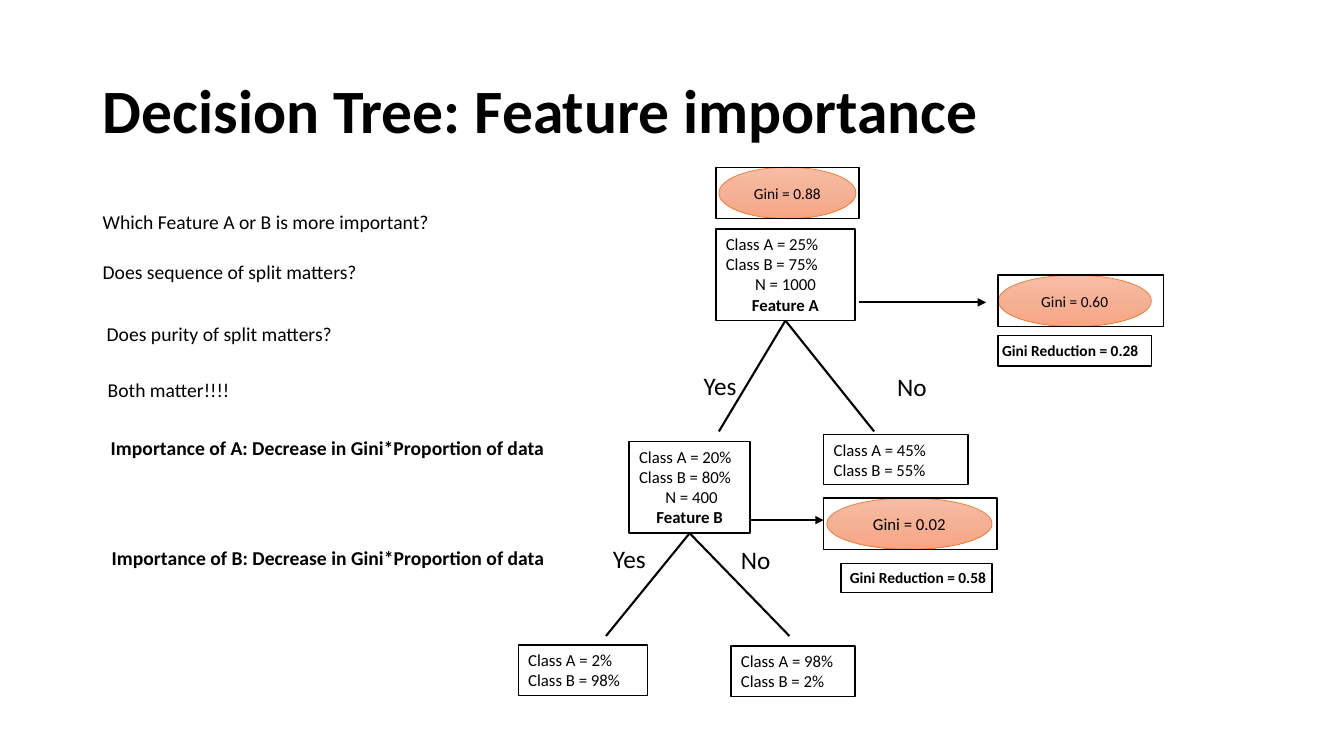
from copy import deepcopy

from lxml import etree
from pptx import Presentation
from pptx import util as u
from pptx.dml.color import RGBColor
from pptx.enum import shapes, text
from pptx.oxml import ns

COLORS = {"ink": "000000", "paper": "FFFFFF", "edge": "ED7D31",
          "light": "F7BDA5", "middle": "F5B196", "deep": "F8A582"}
LEFT, CENTER = text.PP_ALIGN.LEFT, text.PP_ALIGN.CENTER


def color(name):
    """Return the named colour."""
    return RGBColor.from_string(COLORS[name])


def inches(box):
    """Convert a tuple of numbers to lengths."""
    return [u.Inches(value) for value in box]


def write(shape, lines, size, bold=False, align=LEFT, anchor=text.MSO_ANCHOR.TOP,
          fit=text.MSO_AUTO_SIZE.NONE):
    """Fill a shape with one paragraph per line."""
    frame = shape.text_frame
    frame.text = "\n".join(lines)
    frame_format = {"word_wrap": True, "vertical_anchor": anchor, "auto_size": fit}
    for name, value in frame_format.items():
        setattr(frame, name, value)
    for para in frame.paragraphs:
        para.alignment = align
        for name, value in {"name": "Calibri", "size": u.Pt(size), "bold": bold}.items():
            setattr(para.font, name, value)
        para.font.color.rgb = color("ink")
    return frame


def add_label(page, box, line, size, bold=False):
    """Add a one-line text box."""
    label = page.shapes.add_textbox(*inches(box))
    write(label, [line], size, bold, fit=text.MSO_AUTO_SIZE.SHAPE_TO_FIT_TEXT)


def add_outline(page, kind, box, edge="ink", width=1):
    """Add an unfilled preset shape with a coloured line."""
    shape = page.shapes.add_shape(kind, *inches(box))
    shape.shadow.inherit = False
    shape.fill.background()
    shape.line.color.rgb = color(edge)
    shape.line.width = u.Pt(width)
    return shape


def add_node(page, box, lines):
    """Add a tree node whose lines after the second are centred."""
    node = add_outline(page, shapes.MSO_SHAPE.RECTANGLE, box)
    node.fill.solid()
    node.fill.fore_color.rgb = color("paper")
    frame = write(node, lines, 12, fit=text.MSO_AUTO_SIZE.SHAPE_TO_FIT_TEXT)
    for para in frame.paragraphs[2:]:
        para.alignment = CENTER
        para.font.bold = para.text.startswith("Feature")
    return node


def add_line(page, start, end, arrow=False):
    """Add a straight line, with an arrowhead at its end if asked."""
    line = page.shapes.add_connector(shapes.MSO_CONNECTOR.STRAIGHT, *inches(start + end))
    line.line.color.rgb = color("ink")
    line.line.width = u.Pt(1.5)
    if arrow:
        etree.SubElement(line.line._get_or_add_ln(), ns.qn("a:tailEnd"), type="triangle")
    etree.SubElement(line._element.spPr, ns.qn("a:effectLst"))
    return line


def add_gini(page, box, value, offset, width, size=11):
    """Add a framed gradient ellipse with a Gini value."""
    left, top, _, height = box
    oval = add_outline(page, shapes.MSO_SHAPE.OVAL, (left + offset, top, width, height),
                       "edge", 0.5)
    oval.fill.gradient()
    oval.fill.gradient_angle = 270
    first = oval._element.spPr.find(".//" + ns.qn("a:gs"))
    first.addnext(deepcopy(first))
    stops = zip(oval.fill.gradient_stops, ("light", "middle", "deep"), (0, 0.5, 1))
    for stop, name, position in stops:
        stop.color.rgb = color(name)
        stop.position = position
    write(oval, [f"Gini = {value}"], size, align=CENTER, anchor=text.MSO_ANCHOR.MIDDLE)
    add_outline(page, shapes.MSO_SHAPE.RECTANGLE, box)


def add_reduction(page, box, value, offset):
    """Add a framed Gini reduction."""
    left, top, _, _ = box
    add_label(page, (left + offset, top, 1.77, 0.29), f"Gini Reduction = {value}", 11, True)
    add_outline(page, shapes.MSO_SHAPE.RECTANGLE, box)


def add_split(page, node, foot, ends, labels):
    """Draw both branches below a node, with their answers."""
    for answer, end, place in zip(("Yes", "No"), ends, labels):
        add_line(page, foot, end).begin_connect(node, 2)
        add_label(page, place + (0.59, 0.4), answer, 18)


def add_title(page, box):
    """Place and format the title."""
    title = page.shapes.title
    title.left, title.top, title.width, title.height = inches(box)
    frame = write(title, ["Decision Tree: Feature importance"], 44, True,
                  anchor=text.MSO_ANCHOR.MIDDLE)
    frame.paragraphs[0].line_spacing = 0.9


def add_questions(page, box):
    """List the questions and the importance rules."""
    left, top, width, height = box
    rule = "Importance of {}: Decrease in Gini*Proportion of data"
    rows = [(0, 0, "Which Feature A or B is more important?"),
            (0, 0.5, "Does sequence of split matters?"),
            (0.04, 1.11, "Does purity of split matters?"),
            (0.05, 1.67, "Both matter!!!!"),
            (0.08, 2.25, rule.format("A")),
            (0.09, 3.34, rule.format("B"))]
    for across, down, line in rows:
        add_label(page, (left + across, top + down, width, height), line, 14,
                  line.startswith("Importance"))


def add_tree(page, box):
    """Draw the decision tree with its Gini values."""
    left, top, _, _ = box

    def at(across, down, *size):
        return (left + across, top + down) + size

    root = add_node(page, at(1.96, 0.61, 1.38, 0.91),
                    ["Class A = 25%", "Class B = 75%", "N = 1000", "Feature A"])
    child = add_node(page, at(1.1, 2.72, 1.2, 0.91),
                     ["Class A = 20%", "Class B = 80%", " N = 400", "Feature B"])
    add_split(page, root, at(2.65, 1.52), (at(1.99, 2.62), at(3.53, 2.62)),
              (at(1.74, 1.96), at(3.66, 1.97)))
    add_split(page, child, at(1.7, 3.63), (at(0.87, 4.65), at(2.69, 4.65)),
              (at(0.84, 3.68), at(2.11, 3.69)))
    leaves = [((3.03, 2.65, 1.43, 0.5), 45), ((0, 4.74, 1.28, 0.5), 2),
              ((2.11, 4.75, 1.23, 0.5), 98)]
    for place, share in leaves:
        add_node(page, at(*place), [f"Class A = {share}%", f"Class B = {100 - share}%"])
    add_line(page, at(3.38, 1.34), at(4.64, 1.34), arrow=True)
    add_line(page, at(2.29, 3.5), at(3.03, 3.5), arrow=True)
    add_gini(page, at(1.96, 0, 1.42, 0.51), "0.88", 0.03, 1.36)
    add_gini(page, at(4.76, 1.07, 1.64, 0.51), "0.60", 0, 1.52)
    add_gini(page, at(3.03, 3.28, 1.72, 0.51), "0.02", 0.03, 1.64, 12)
    add_reduction(page, at(4.76, 1.67, 1.52, 0.3), "0.28", -0.06)
    add_reduction(page, at(3.2, 3.93, 1.5, 0.29), "0.58", -0.01)


def main():
    """Build and save the slide."""
    deck = Presentation()
    deck.slide_width, deck.slide_height = inches((13.33, 7.5))
    page = deck.slides.add_slide(deck.slide_layouts[5])
    add_title(page, (0.92, 0.4, 11.5, 1.45))
    add_questions(page, (0.92, 2.03, 4.56, 0.34))
    add_tree(page, (5.14, 1.66, 6.4, 5.25))
    deck.save("out.pptx")


if __name__ == "__main__":
    main()
